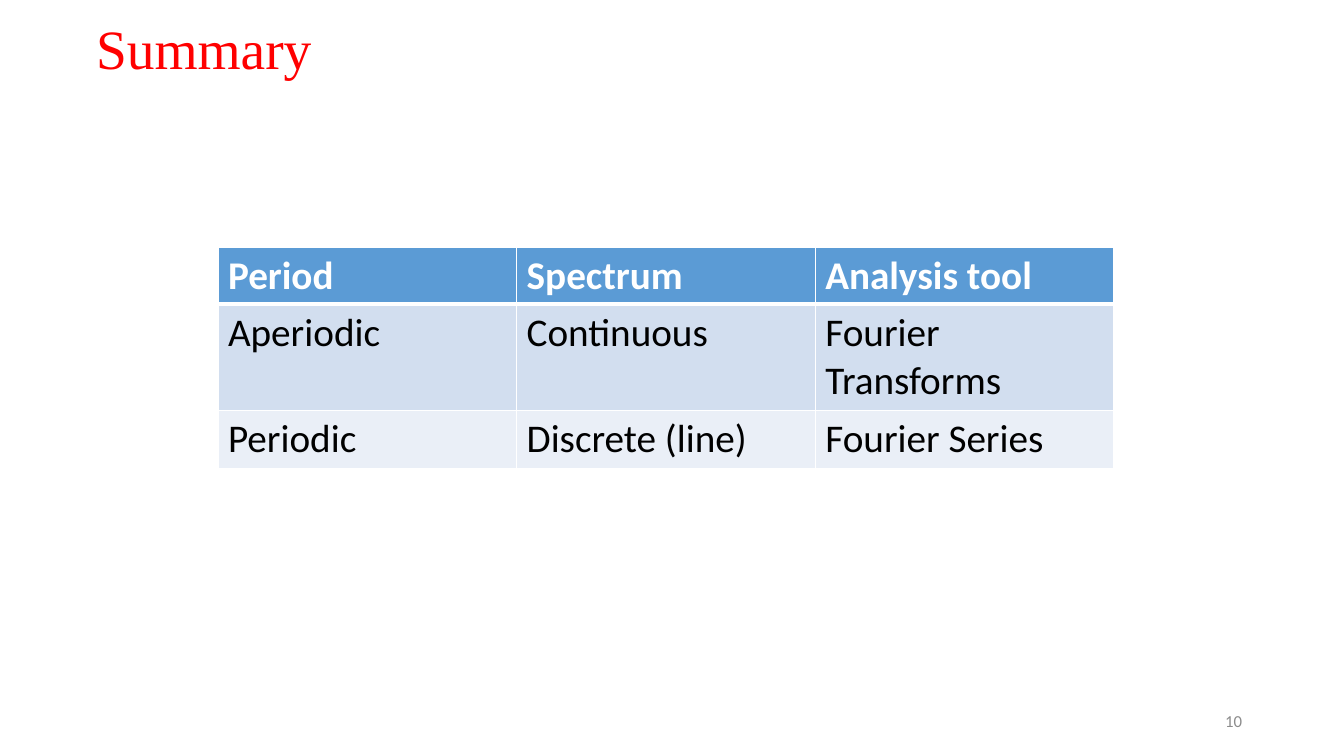
from dataclasses import dataclass
from pptx import Presentation
from pptx.dml.color import RGBColor
from pptx.enum.text import MSO_ANCHOR as Anchor, MSO_AUTO_SIZE as AutoSize, PP_ALIGN as Align
from pptx.oxml import parse_xml
from pptx.oxml.ns import nsdecls
from pptx.util import Emu, Pt

PX = 914400 / 100.8


@dataclass(frozen=True)
class Theme:
    title_font: str = "Times New Roman"
    body_font: str = "Calibri"
    title_size: float = 39.6
    table_size: float = 28
    number_size: float = 12
    red: str = "FF0000"
    gray: str = "8C8C8C"
    white: str = "FFFFFF"
    black: str = "000000"
    header_fill: str = "5B9BD5"
    band_fills: tuple = ("D2DEEF", "EAEFF7")


theme = Theme()


def px(*lengths):
    return [Emu(round(length * PX)) for length in lengths]


def write(frame, text, font, size, color, bold=False, align=Align.LEFT):
    frame.text = text
    frame.word_wrap = True
    paragraph = frame.paragraphs[0]
    paragraph.alignment = align
    style = paragraph.runs[0].font
    style.name, style.size, style.bold = font, Pt(size), bold
    style.color.rgb = RGBColor.from_string(color)


deck = Presentation()
deck.slide_width, deck.slide_height = px(1344, 756)
slide = deck.slides.add_slide(deck.slide_layouts[5])

summary = slide.shapes.title
summary.left, summary.top, summary.width, summary.height = px(86, 16, 1159, 71)
write(summary.text_frame, "Summary", theme.title_font, theme.title_size, theme.red)
summary.text_frame.auto_size = AutoSize.NONE
summary.text_frame.vertical_anchor = Anchor.MIDDLE
summary.text_frame.paragraphs[0].line_spacing = 0.9

page_number = slide.shapes.add_textbox(*px(950, 701, 302, 40))
write(page_number.text_frame, "10", theme.body_font, theme.number_size, theme.gray, align=Align.RIGHT)
page_number.text_frame.vertical_anchor = Anchor.MIDDLE

signal_rows = [
    ("Period", "Spectrum", "Analysis tool"),
    ("Aperiodic", "Continuous", "Fourier Transforms"),
    ("Periodic", "Discrete (line)", "Fourier Series"),
]
row_heights = px(57, 106, 58)
signals = slide.shapes.add_table(3, 3, *px(218, 247, 896, 221)).table
for column in signals.columns:
    column.width = px(298.67)[0]

for row, labels in enumerate(signal_rows):
    signals.rows[row].height = row_heights[row]
    is_header = row == 0
    fill = theme.header_fill if is_header else theme.band_fills[row - 1]
    border_widths = {"L": 1, "R": 1, "T": 3 if row == 1 else 1, "B": 3 if is_header else 1}
    for column, label in enumerate(labels):
        cell = signals.cell(row, column)
        write(cell.text_frame, label, theme.body_font, theme.table_size,
              theme.white if is_header else theme.black, bold=is_header)
        properties = cell._tc.get_or_add_tcPr()
        for side, width in border_widths.items():
            properties.append(parse_xml(
                f'<a:ln{side} {nsdecls("a")} w="{Pt(width)}"><a:solidFill>'
                f'<a:srgbClr val="{theme.white}"/></a:solidFill></a:ln{side}>'))
        cell.fill.solid()
        cell.fill.fore_color.rgb = RGBColor.from_string(fill)

deck.save("out.pptx")
